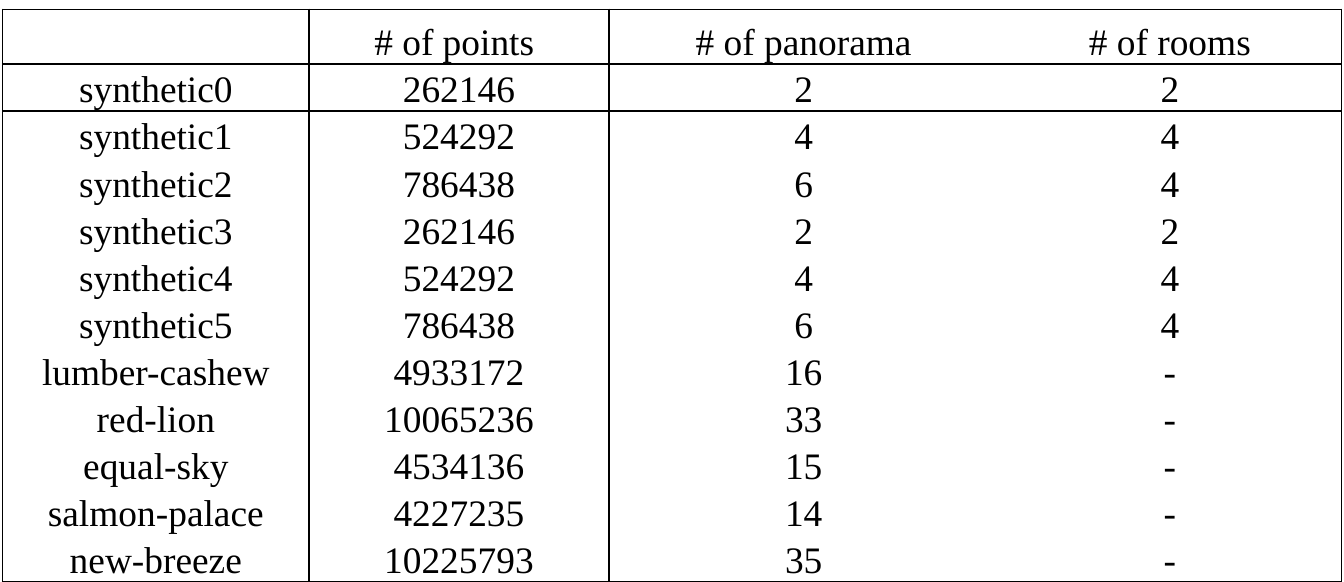
from dataclasses import dataclass

from lxml.etree import SubElement
from pptx import Presentation
from pptx.dml.color import RGBColor
from pptx.enum.text import MSO_ANCHOR as Anchor, PP_ALIGN as Align
from pptx.oxml.ns import qn
from pptx.util import Inches, Pt


@dataclass(frozen=True)
class Theme:
    font: str = "Times New Roman"
    ink: str = "000000"
    text_size: int = 20
    rule_width: int = 1


class DatasetSlide:
    def __init__(self, presentation, theme):
        self.theme = theme
        self.slide = presentation.slides.add_slide(presentation.slide_layouts[6])

    def table(self, left, top, widths, row_height, rows, column_rules, row_rules):
        frame = self.slide.shapes.add_table(
            len(rows), len(widths), Inches(left), Inches(top),
            Inches(sum(widths)), Inches(row_height * len(rows)))
        grid = frame.table
        grid.first_row = grid.horz_banding = False
        for column, width in zip(grid.columns, widths):
            column.width = Inches(width)
        for r, entries in enumerate(rows):
            grid.rows[r].height = Inches(row_height)
            for c, entry in enumerate(entries):
                cell = grid.cell(r, c)
                self.borders(cell, {
                    "lnL": c in column_rules, "lnR": c + 1 in column_rules,
                    "lnT": r in row_rules, "lnB": r + 1 in row_rules})
                cell.fill.background()
                if entry:
                    self.cell_text(cell, entry)

    def borders(self, cell, sides):
        properties = cell._tc.get_or_add_tcPr()
        for side, ruled in sides.items():
            line = SubElement(properties, qn(f"a:{side}"), w=str(Pt(self.theme.rule_width)))
            if ruled:
                fill = SubElement(line, qn("a:solidFill"))
                SubElement(fill, qn("a:srgbClr"), val=self.theme.ink)
            else:
                SubElement(line, qn("a:noFill"))

    def cell_text(self, cell, entry):
        cell.vertical_anchor = Anchor.BOTTOM
        cell.margin_left = cell.margin_right = cell.margin_top = Inches(0.01)
        cell.margin_bottom = 0
        paragraph = cell.text_frame.paragraphs[0]
        paragraph.text = entry
        paragraph.alignment = Align.CENTER
        font = paragraph.runs[0].font
        font.name = self.theme.font
        font.size = Pt(self.theme.text_size)
        font.color.rgb = RGBColor.from_string(self.theme.ink)


presentation = Presentation()
presentation.slide_width = Inches(10)
presentation.slide_height = Inches(4.33)

datasets = [
    ("", "# of points ", "# of panorama", "# of rooms"),
    ("synthetic0", "262146", "2", "2"),
    ("synthetic1", "524292", "4", "4"),
    ("synthetic2", "786438", "6", "4"),
    ("synthetic3", "262146", "2", "2"),
    ("synthetic4", "524292", "4", "4"),
    ("synthetic5", "786438", "6", "4"),
    ("lumber-cashew", "4933172", "16", "-"),
    ("red-lion", "10065236", "33", "-"),
    ("equal-sky", "4534136", "15", "-"),
    ("salmon-palace", "4227235", "14", "-"),
    ("new-breeze", "10225793", "35", "-"),
]

DatasetSlide(presentation, Theme()).table(
    0.02, 0.07, [2.28, 2.23, 2.9, 2.55], 0.35, datasets,
    column_rules={0, 1, 2, 4}, row_rules={0, 1, 2, len(datasets)})

presentation.save("out.pptx")
